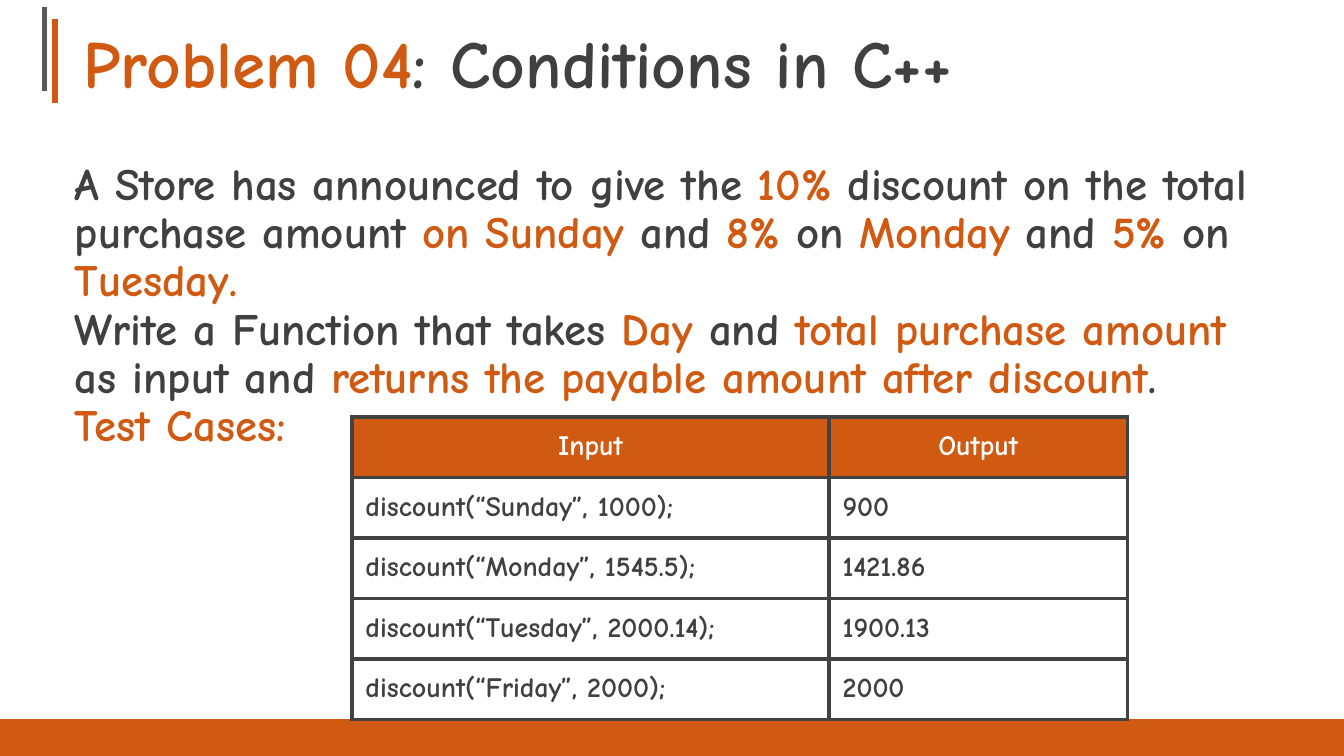
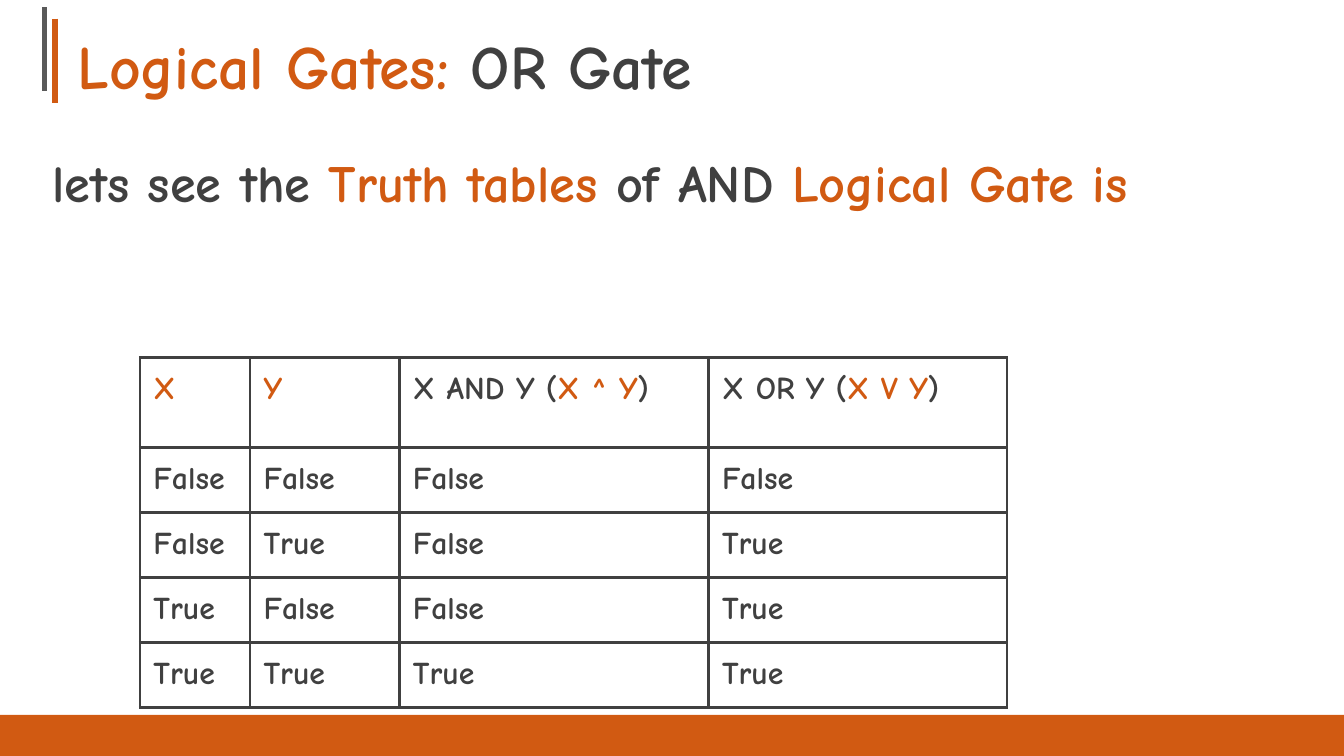
from dataclasses import dataclass

from lxml import etree
from pptx import Presentation
from pptx.dml.color import RGBColor
from pptx.enum.shapes import MSO_CONNECTOR, MSO_SHAPE
from pptx.enum.text import MSO_ANCHOR, PP_ALIGN
from pptx.oxml.ns import qn
from pptx.slide import Slide
from pptx.text.text import TextFrame
from pptx.util import Pt

ORANGE = RGBColor(0xD1, 0x5A, 0x12)
INK = RGBColor(0x40, 0x40, 0x40)
RULE = RGBColor(0x42, 0x42, 0x42)
GRAY = RGBColor(0x59, 0x59, 0x59)
WHITE = RGBColor(0xFF, 0xFF, 0xFF)
FONT = "Comic Neue"
WIDTH = 720
HEIGHT = 405
INSET = 7.2
STRAIGHT = MSO_CONNECTOR.STRAIGHT
RECT = MSO_SHAPE.RECTANGLE
TOP = MSO_ANCHOR.TOP
BOTTOM = MSO_ANCHOR.BOTTOM
LEFT = PP_ALIGN.LEFT
CENTER = PP_ALIGN.CENTER


@dataclass
class Box:
    left: float
    top: float
    width: float
    height: float


@dataclass
class Style:
    size: float
    color: RGBColor = INK
    align: PP_ALIGN = LEFT
    spacing: float = 1.0


@dataclass
class Bar:
    x: float
    top: float
    bottom: float
    color: RGBColor


@dataclass
class Grid:
    left: float
    top: float
    cols: list[float]
    rows: list[float]
    size: float
    line: float
    color: RGBColor
    banner: bool
    cells: list[list[str]]


BARS = [Bar(29.5, 10, 55, ORANGE), Bar(23.8, 3.8, 48.8, GRAY)]

CASES = Grid(
    188.6, 223.4, [255.6, 159.8], [31.6] * 5, 15, 2.25, RULE, True,
    [
        ["Input", "Output"],
        ["discount(“Sunday”, 1000);", "900"],
        ["discount(“Monday”, 1545.5);", "1421.86"],
        ["discount(“Tuesday”, 2000.14);", "1900.13"],
        ["discount(“Friday”, 2000);", "2000"],
    ],
)

PAIRS = [(x, y) for x in (False, True) for y in (False, True)]
TRUTH = Grid(
    75, 191.5, [59, 80, 165.6, 159.8], [48.2] + [34] * 4, 17, 1.5, INK, False,
    [["*X*", "*Y*", "X AND Y (*X ^ Y*)", "X OR Y (*X V Y*)"]]
    + [[str(v) for v in (x, y, x and y, x or y)] for x, y in PAIRS],
)

STORE = [
    "A Store has announced to give the *10%* discount on the total purchase amount"
    "* on Sunday *and *8% *on *Monday *and* 5% *on *Tuesday.*",
    "Write a Function that takes *Day* and *total purchase amount* as input and "
    "*returns the payable amount after discount*.",
    "*Test Cases:*",
]
GATES = ["lets see the *Truth tables* of AND *Logical Gate is*"]


def write(frame: TextFrame, lines: list[str], style: Style) -> None:
    for i, line in enumerate(lines):
        para = frame.add_paragraph() if i else frame.paragraphs[0]
        para.alignment = style.align
        para.line_spacing = style.spacing
        font = para.font
        font.name = FONT
        font.size = Pt(style.size)
        font.bold = True
        font.color.rgb = style.color
        for j, part in enumerate(line.split("*")):
            if part:
                run = para.add_run()
                run.text = part
                if j % 2:
                    run.font.color.rgb = ORANGE


def add_text(slide: Slide, box: Box, lines: list[str], style: Style,
             anchor: MSO_ANCHOR = TOP, indent: float = 0) -> None:
    shape = slide.shapes.add_textbox(
        Pt(box.left), Pt(box.top), Pt(box.width), Pt(box.height))
    frame = shape.text_frame
    frame.word_wrap = True
    frame.vertical_anchor = anchor
    frame.margin_left = Pt(INSET + indent)
    frame.margin_right = frame.margin_top = frame.margin_bottom = Pt(INSET)
    write(frame, lines, style)


def add_bar(slide: Slide, bar: Bar) -> None:
    line = slide.shapes.add_connector(
        STRAIGHT, Pt(bar.x), Pt(bar.top), Pt(bar.x), Pt(bar.bottom))
    line.line.color.rgb = bar.color
    line.line.width = Pt(3)
    etree.SubElement(line._element.spPr, qn("a:effectLst"))


def add_frame(slide: Slide, title: str, size: float, foot: float) -> None:
    add_text(slide, Box(0, 0, WIDTH, 62), [title], Style(size), BOTTOM, size * 1.04)
    for bar in BARS:
        add_bar(slide, bar)
    band = slide.shapes.add_shape(RECT, Pt(0), Pt(foot), Pt(WIDTH), Pt(HEIGHT - foot))
    band.shadow.inherit = False
    band.fill.solid()
    band.fill.fore_color.rgb = ORANGE
    band.line.fill.background()


def add_grid(slide: Slide, grid: Grid) -> None:
    table = slide.shapes.add_table(
        len(grid.rows), len(grid.cols), Pt(grid.left), Pt(grid.top),
        Pt(sum(grid.cols)), Pt(sum(grid.rows))).table
    table.first_row = table.horz_banding = False
    for col, width in zip(table.columns, grid.cols):
        col.width = Pt(width)
    for r, texts in enumerate(grid.cells):
        table.rows[r].height = Pt(grid.rows[r])
        head = grid.banner and r == 0
        style = Style(grid.size, WHITE, CENTER) if head else Style(grid.size)
        for c, text in enumerate(texts):
            cell = table.cell(r, c)
            cell.margin_left = cell.margin_right = Pt(INSET)
            cell.margin_top = cell.margin_bottom = Pt(INSET)
            props = cell._tc.get_or_add_tcPr()
            for side in ("a:lnL", "a:lnR", "a:lnT", "a:lnB"):
                edge = etree.SubElement(props, qn(side), w=str(Pt(grid.line)))
                fill = etree.SubElement(edge, qn("a:solidFill"))
                etree.SubElement(fill, qn("a:srgbClr"), val=str(grid.color))
            if head:
                cell.fill.solid()
                cell.fill.fore_color.rgb = ORANGE
            else:
                cell.fill.background()
            write(cell.text_frame, [text], style)


def main() -> None:
    deck = Presentation()
    deck.slide_width = Pt(WIDTH)
    deck.slide_height = Pt(HEIGHT)
    blank = deck.slide_layouts[6]

    store = deck.slides.add_slide(blank)
    add_frame(store, "*Problem 04*: Conditions in C++", 36, 385.2)
    add_text(store, Box(33, 79.2, 653.8, 198), STORE, Style(24, spacing=0.9))
    add_grid(store, CASES)

    gates = deck.slides.add_slide(blank)
    add_frame(gates, "*Logical Gates: *OR Gate", 33, 383)
    add_text(gates, Box(20.9, 73.4, 699.1, 203.8), GATES, Style(28))
    add_grid(gates, TRUTH)

    deck.save("out.pptx")


if __name__ == "__main__":
    main()
